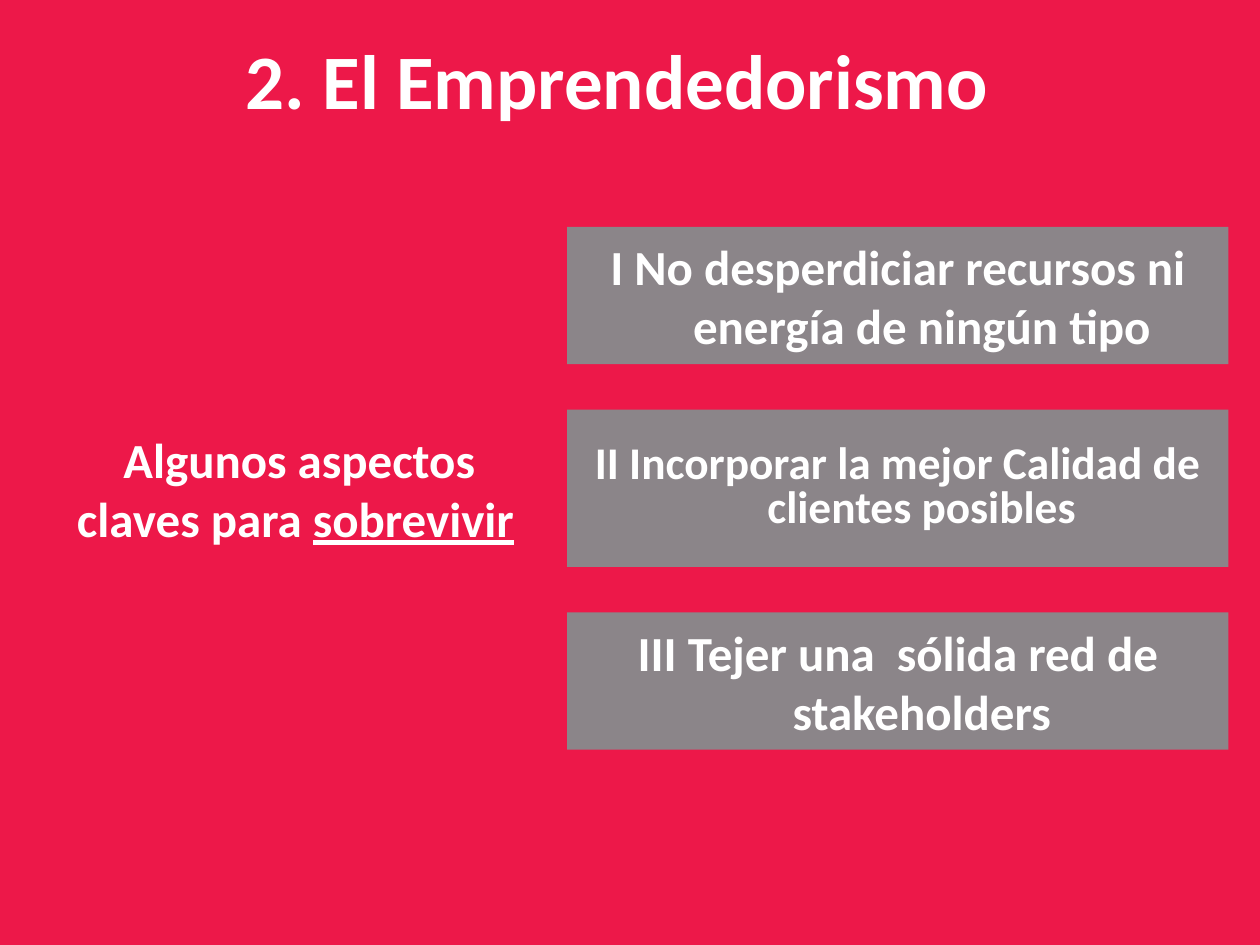
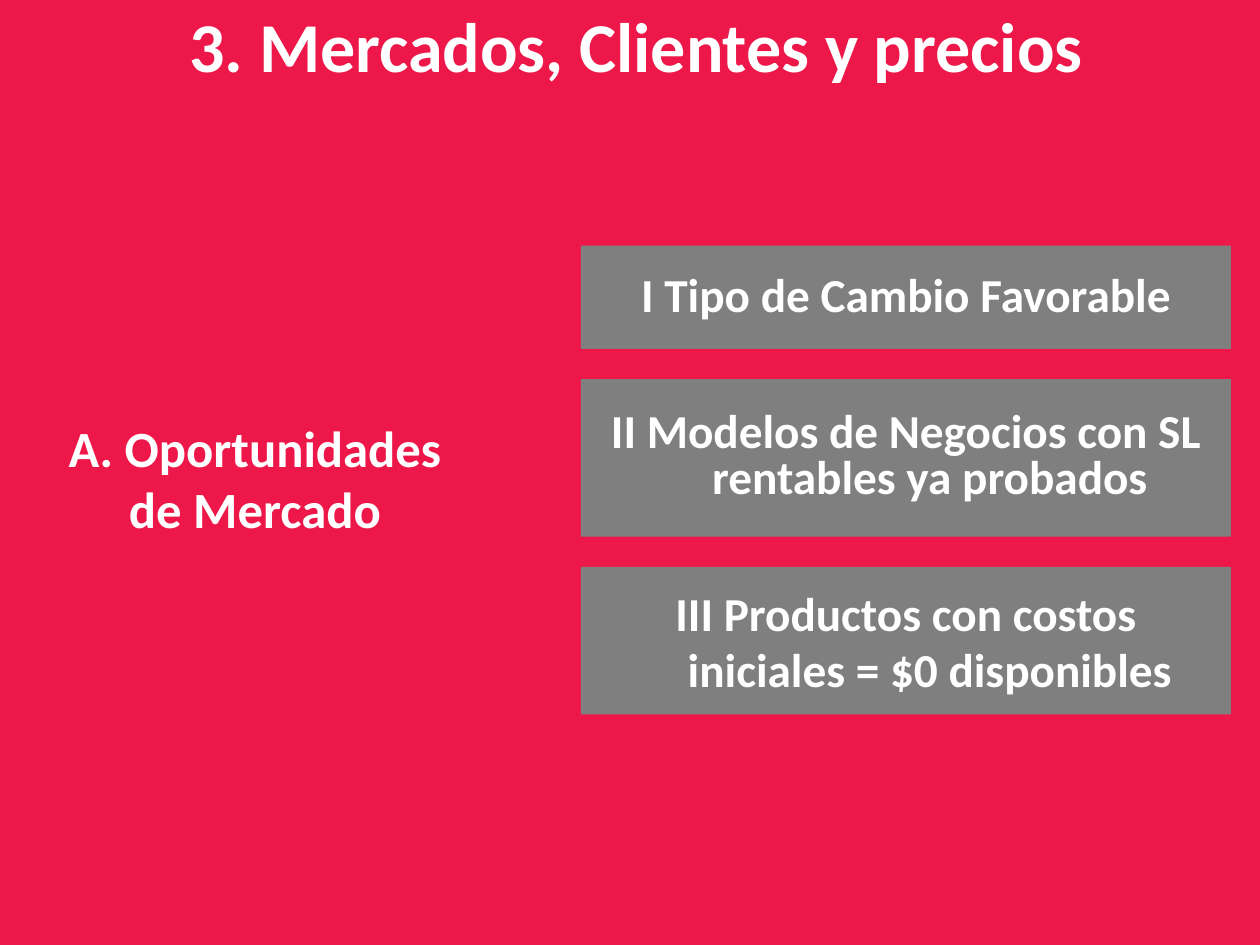
from lxml.etree import SubElement
from pptx import Presentation
from pptx.dml.color import RGBColor
from pptx.enum.shapes import MSO_SHAPE as Shape
from pptx.enum.text import MSO_ANCHOR as Anchor, MSO_AUTO_SIZE as AutoSize, PP_ALIGN as Align
from pptx.oxml.ns import qn
from pptx.util import Inches, Pt

# Shared style
RED, WHITE = "ED1849", "FFFFFF"
FRAME = {"word_wrap": True, "auto_size": AutoSize.NONE, "vertical_anchor": Anchor.MIDDLE}
FONT = {"name": "Calibri", "bold": True}
HANGING = (0.38, -0.38)  # left margin, first-line indent


def paint(color_format, hex_color):
    color_format.rgb = RGBColor.from_string(hex_color)


def write(shape, box, runs, size, indents=(0, 0), spacing=1.0):
    """Place a shape and fill it with one centred paragraph of (text, underlined) runs."""
    shape.left, shape.top, shape.width, shape.height = map(Inches, box)
    for key, value in FRAME.items():
        setattr(shape.text_frame, key, value)
    paragraph = shape.text_frame.paragraphs[0]
    properties = paragraph._p.get_or_add_pPr()
    for key, value in zip(("marL", "indent"), indents):
        properties.set(key, str(Inches(value)))
    SubElement(properties, qn("a:buNone"))
    layout = {"alignment": Align.CENTER, "line_spacing": spacing, "space_before": Pt(0)}
    for key, value in layout.items():
        setattr(paragraph, key, value)
    for text, underlined in runs:
        run = paragraph.add_run()
        run.text = text
        for key, value in {**FONT, "size": Pt(size), "underline": underlined}.items():
            setattr(run.font, key, value)
        paint(run.font.color, WHITE)


# Content: each panel is (height, text, size, line spacing)
topics = [
    {
        "layout": 3,
        "title": ("2. El Emprendedorismo", (0.4, 0, 9, 1.25), 44),
        "label": ([("Algunos aspectos claves para ", None), ("sobrevivir", True)],
                  (0.06, 2.75, 4.19, 2.25), 28, (0.38, 0.06)),
        "grey": "8B8589",
        "column": (4.5, 1.8, 5.25, 0.36),  # left, top, width, gap
        "panels": [
            (1.09, "I No desperdiciar recursos ni energía de ningún tipo", 28, 1.0),
            (1.25, "II Incorporar la mejor Calidad de clientes posibles", 25.9, 0.8),
            (1.09, "III Tejer una  sólida red de stakeholders", 28, 1.0),
        ],
    },
    {
        "layout": 1,
        "title": ("3. Mercados, Clientes y precios", (0.55, 0, 9, 0.7), 40),
        "label": ([("A. Oportunidades de Mercado", None)],
                  (0.23, 3.13, 3.59, 1.33), 29, (0, 0)),
        "grey": "7F7F7F",
        "column": (4.61, 1.95, 5.16, 0.24),
        "panels": [
            (0.82, "I Tipo de Cambio Favorable", 27, 0.9),
            (1.25, "II Modelos de Negocios con SL rentables ya probados", 27, 0.8),
            (1.17, "III Productos con costos iniciales = $0 disponibles", 27, 1.0),
        ],
    },
]

# Presentation and common background
deck = Presentation()
deck.slide_width, deck.slide_height = Inches(10), Inches(7.5)
background = deck.slide_master.background.fill
background.solid()
paint(background.fore_color, RED)

for topic in topics:
    slide = deck.slides.add_slide(deck.slide_layouts[topic["layout"]])
    heading, *bodies = slide.placeholders

    # Title
    title, title_box, title_size = topic["title"]
    write(heading, title_box, [(title, None)], title_size)

    # Label on the left: second body where the layout has one
    label = bodies[1] if len(bodies) > 1 else slide.shapes.add_textbox(0, 0, 0, 0)
    label_runs, label_box, label_size, label_indents = topic["label"]
    write(label, label_box, label_runs, label_size, label_indents)

    # Stack of grey panels: the middle one is the body
    left, top, width, gap = topic["column"]
    for position, (height, text, size, spacing) in enumerate(topic["panels"]):
        if position == 1:
            panel = bodies[0]
        else:
            panel = slide.shapes.add_shape(Shape.RECTANGLE, 0, 0, 0, 0)
            panel.shadow.inherit = False
        panel.fill.solid()
        paint(panel.fill.fore_color, topic["grey"])
        panel.line.fill.background()
        write(panel, (left, top, width, height), [(text, None)], size, HANGING, spacing)
        top += height + gap

deck.save("out.pptx")
